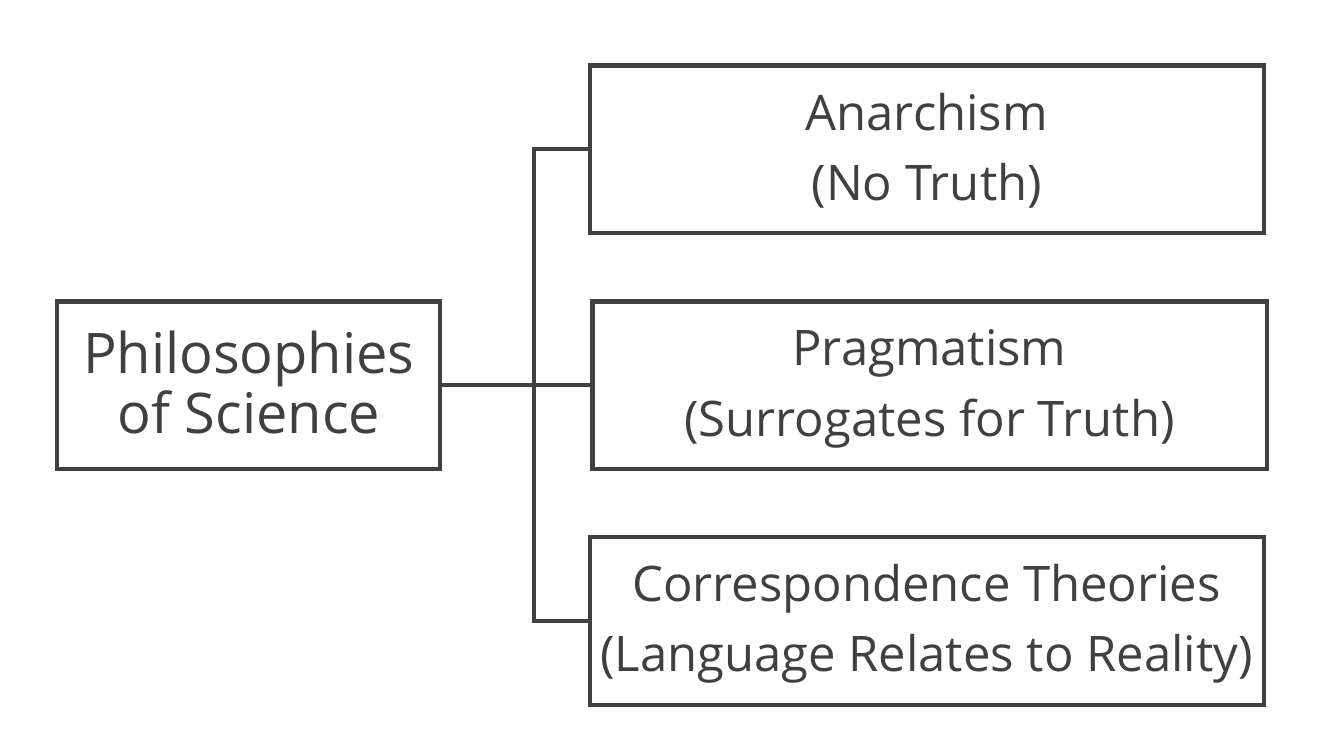
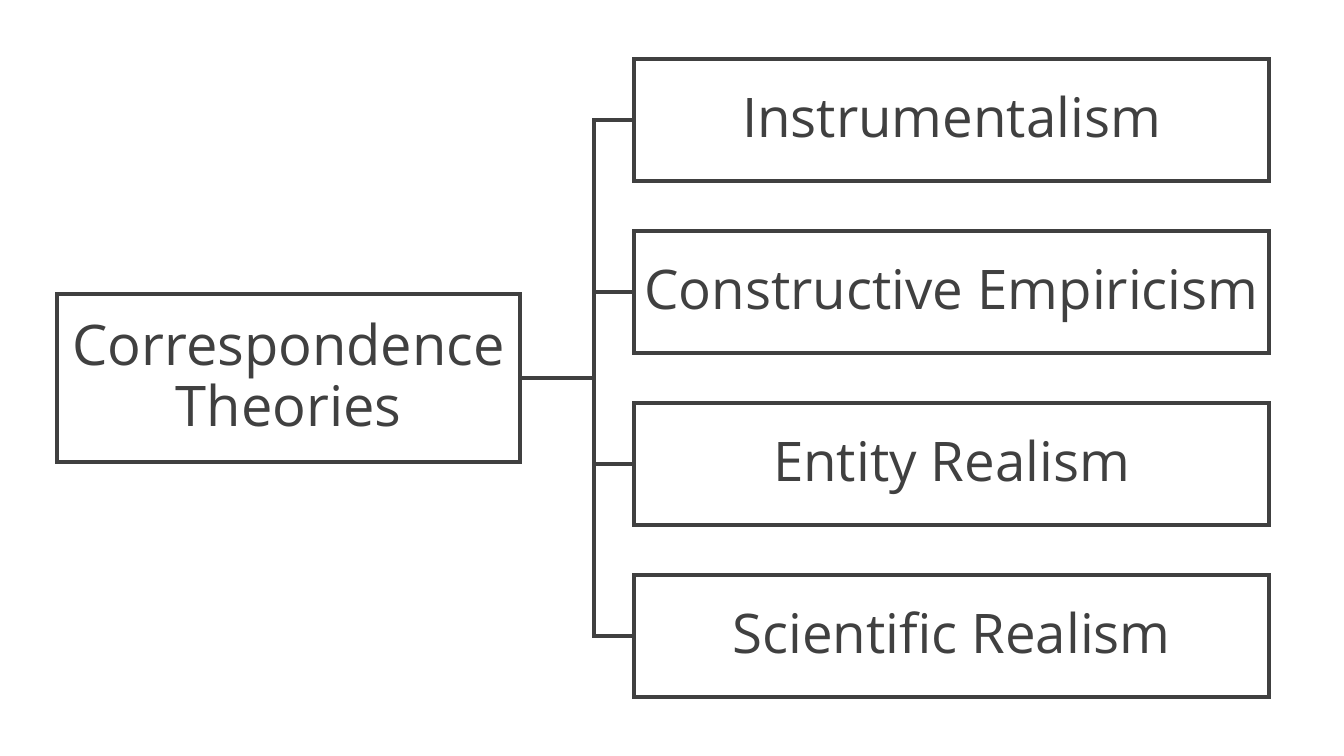
from dataclasses import dataclass
from lxml.etree import SubElement
from pptx import Presentation
from pptx.dml.color import RGBColor as Rgb
from pptx.enum.shapes import MSO_CONNECTOR as Link, MSO_SHAPE as Shape
from pptx.enum.text import MSO_ANCHOR as Anchor, PP_ALIGN as Align
from pptx.oxml.ns import qn
from pptx.util import Pt


@dataclass(frozen=True)
class Theme:
    """Shared colours, type and line sizes."""
    ink: Rgb = Rgb(0x40, 0x40, 0x40)
    paper: Rgb = Rgb(0xFF, 0xFF, 0xFF)
    font: str = "Open Sans"
    root: int = 40
    line: int = 3
    inset: int = 2
    lead: float = 0.9
    after: float = 0.35


@dataclass(frozen=True)
class Box:
    """A rectangle in points."""
    left: float
    top: float
    width: float
    height: float

    @property
    def mid(self):
        """Return the height of the centre line."""
        return self.top + self.height / 2


THEME = Theme()


def set_line(line):
    """Give a line the shared colour, width and sharp corners."""
    line.color.rgb = THEME.ink
    line.width = Pt(THEME.line)
    SubElement(line._get_or_add_ln(), qn("a:miter")).set("lim", "800000")


def add_node(slide, box, lines, size):
    """Draw an outlined box with one centred paragraph per line."""
    node = slide.shapes.add_shape(
        Shape.RECTANGLE, Pt(box.left), Pt(box.top), Pt(box.width), Pt(box.height))
    node.shadow.inherit = False
    node.fill.solid()
    node.fill.fore_color.rgb = THEME.paper
    set_line(node.line)
    frame = node.text_frame
    frame.word_wrap = True
    frame.vertical_anchor = Anchor.MIDDLE
    frame.margin_left = frame.margin_right = Pt(THEME.inset)
    frame.margin_top = frame.margin_bottom = Pt(THEME.inset)
    for i, text in enumerate(lines):
        para = frame.add_paragraph() if i else frame.paragraphs[0]
        para.alignment = Align.CENTER
        para.line_spacing = THEME.lead
        para.space_after = Pt(size * THEME.after)
        run = para.add_run()
        run.text = text
        run.font.name = THEME.font
        run.font.size = Pt(size)
        run.font.color.rgb = THEME.ink
    return node


def add_link(slide, base, box, spine):
    """Join two boxes, with a bend at the spine if their heights differ."""
    start = base.left + base.width
    flat = abs(base.mid - box.mid) < 1
    link = slide.shapes.add_connector(
        Link.STRAIGHT if flat else Link.ELBOW,
        Pt(start), Pt(base.mid), Pt(box.left), Pt(box.mid))
    set_line(link.line)
    props = link._element.spPr
    SubElement(props, qn("a:effectLst"))
    if not flat:
        bend = round((spine - start) / (box.left - start) * 100000)
        guide = SubElement(props.find(qn("a:prstGeom")).find(qn("a:avLst")), qn("a:gd"))
        guide.set("name", "adj1")
        guide.set("fmla", f"val {bend}")
    return link, flat


def add_tree(slide, title, base, first, leaves, size, pitch, spine, shifts):
    """Draw a root box linked to a column of leaf boxes."""
    boxes = [Box(first.left + shift, first.top + i * pitch, first.width, first.height)
             for i, shift in enumerate(shifts)]
    links = [add_link(slide, base, box, spine) for box in boxes]
    root = add_node(slide, base, [title], THEME.root)
    for (link, flat), box, lines in zip(links, boxes, leaves):
        leaf = add_node(slide, box, lines, size)
        if flat:
            link.begin_connect(root, 3)
            link.end_connect(leaf, 1)


def add_views(slide):
    """Draw the tree of philosophies of science."""
    leaves = [
        ("Anarchism", "(No Truth)"),
        ("Pragmatism", "(Surrogates for Truth)"),
        ("Correspondence Theories", "(Language Relates to Reality)"),
    ]
    add_tree(slide, "Philosophies of Science", Box(41, 215.28, 273.6, 119.6),
             Box(421.2, 46.8, 481.7, 119.6), leaves, 35, 168.48, 381.6, (0, 2, 0))


def add_kinds(slide):
    """Draw the tree of correspondence theories."""
    leaves = [("Instrumentalism",), ("Constructive Empiricism",),
              ("Entity Realism",), ("Scientific Realism",)]
    add_tree(slide, "Correspondence Theories", Box(41, 210.2, 330.5, 119.6),
             Box(453, 42.15, 453.6, 87.1), leaves, 39, 122.87, 424.5, (0, 0, 0, 0))


def main():
    """Build and save the slides."""
    deck = Presentation()
    deck.slide_width, deck.slide_height = Pt(960), Pt(540)
    for draw in (add_views, add_kinds):
        draw(deck.slides.add_slide(deck.slide_layouts[6]))
    deck.save("out.pptx")


if __name__ == "__main__":
    main()
